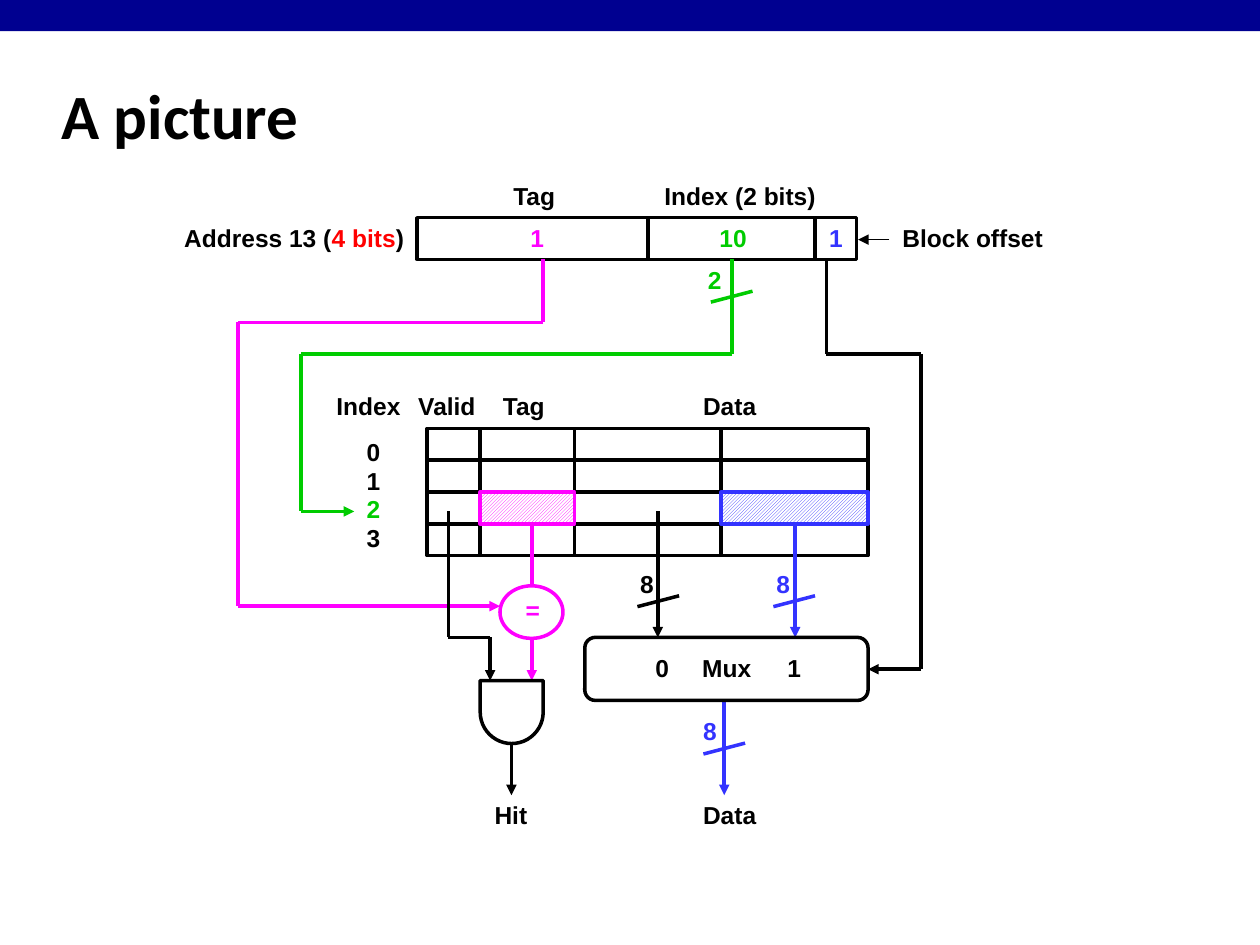
from itertools import accumulate, pairwise
from lxml.etree import SubElement
from pptx import Presentation
from pptx.dml.color import RGBColor
from pptx.enum.dml import MSO_PATTERN
from pptx.enum.shapes import MSO_CONNECTOR, MSO_SHAPE
from pptx.enum.text import MSO_ANCHOR, PP_ALIGN
from pptx.oxml.ns import qn
from pptx.util import Cm, Pt

BLACK = RGBColor(0, 0, 0)
WHITE = RGBColor(255, 255, 255)
NAVY = RGBColor(0, 0, 0x90)
PINK = RGBColor(255, 0, 255)
GREEN = RGBColor(0, 0xCC, 0)
BLUE = RGBColor(0x33, 0x33, 255)
RED = RGBColor(255, 0, 0)

# All lengths are in centimetres.
FIELDS = [4.65, 3.37, 0.84]        # tag, index, offset widths
FIELD_X, FIELD_Y, FIELD_H = 8.41, 4.39, 0.84
COLS = [1.07, 1.9, 2.96, 2.96]     # valid, tag, two data bytes
CACHE_X, CACHE_Y, ROW_H, ROWS = 8.61, 8.64, 0.64, 4
HITS = {(2, 1): PINK, (2, 3): BLUE}

# text, centre x, centre y, width, colour
LABELS = [
    ("Tag", 10.77, 3.98, 1.42, BLACK),
    ("Index (2 bits)", 14.92, 3.98, 3.63, BLACK),
    ([[("Address 13 (", BLACK), ("4 bits", RED), (")", BLACK)]],
     5.93, 4.83, 5.0, BLACK),
    ("1", 10.83, 4.83, 0.84, PINK),
    ("10", 14.78, 4.83, 1.12, GREEN),
    ("1", 16.85, 4.83, 0.84, BLUE),
    ("Block offset", 19.61, 4.83, 3.4, BLACK),
    ("2", 14.41, 5.68, 0.84, GREEN),
    ("Index", 7.43, 8.22, 1.86, BLACK),
    ("Valid", 9.01, 8.22, 1.73, BLACK),
    ("Tag", 10.56, 8.22, 1.42, BLACK),
    ("Data", 14.71, 8.22, 1.65, BLACK),
    ("=", 10.74, 12.32, 0.86, PINK),
    ("8", 13.04, 11.81, 0.84, BLACK),
    ("8", 15.79, 11.81, 0.84, BLUE),
    ("0", 13.35, 13.49, 0.84, BLACK),
    ("Mux", 14.65, 13.49, 1.57, BLACK),
    ("1", 16.01, 13.49, 0.84, BLACK),
    ("8", 14.31, 14.76, 0.84, BLUE),
    ("Hit", 10.3, 16.46, 1.24, BLACK),
    ("Data", 14.71, 16.46, 1.65, BLACK),
]
INDEXES = [[("0", BLACK)], [("1", BLACK)], [("2", GREEN)], [("3", BLACK)]]

# colour, corner points, arrow at the end
WIRES = [
    (PINK, [(10.95, 5.23), (10.95, 6.5), (4.8, 6.5), (4.8, 12.22),
            (10.08, 12.22)], True),
    (GREEN, [(14.76, 5.23), (14.76, 7.14), (6.07, 7.14), (6.07, 10.31),
             (7.14, 10.31)], True),
    (BLACK, [(16.66, 5.23), (16.66, 7.14), (18.57, 7.14), (18.57, 13.49),
             (17.5, 13.49)], True),
    (BLACK, [(9.04, 10.31), (9.04, 12.85), (9.88, 12.85), (9.88, 13.72)], True),
    (PINK, [(10.72, 10.31), (10.72, 11.81)], False),
    (PINK, [(10.72, 12.85), (10.72, 13.72)], True),
    (BLACK, [(13.26, 10.31), (13.26, 12.85)], True),
    (BLUE, [(16.03, 10.31), (16.03, 12.85)], True),
    (BLACK, [(10.31, 14.99), (10.31, 16.03)], True),
    (BLUE, [(14.6, 14.12), (14.6, 16.03)], True),
]
SLASHES = [(14.75, 5.98, GREEN), (13.27, 12.12, BLACK),
           (16.01, 12.12, BLUE), (14.6, 15.09, BLUE)]

deck = Presentation()
deck.slide_width, deck.slide_height = Cm(25.4), Cm(19.05)
slide = deck.slides.add_slide(deck.slide_layouts[6])


def draw(kind, x, y, w, h, line=BLACK, fill=None, hatch=False):
    shape = slide.shapes.add_shape(kind, Cm(x), Cm(y), Cm(w), Cm(h))
    shape.shadow.inherit = False
    if hatch:
        shape.fill.patterned()
        shape.fill.pattern = MSO_PATTERN.LIGHT_UPWARD_DIAGONAL
        shape.fill.fore_color.rgb = line
        shape.fill.back_color.rgb = WHITE
    elif fill is not None:
        shape.fill.solid()
        shape.fill.fore_color.rgb = fill
    else:
        shape.fill.background()
    if line is None:
        shape.line.fill.background()
    else:
        shape.line.color.rgb = line
        shape.line.width = Pt(2)
    return shape


def wire(color, points, arrow=False, width=2):
    """Join the points with straight lines, the last one with an arrow if asked."""
    for start, end in pairwise(points):
        link = slide.shapes.add_connector(
            MSO_CONNECTOR.STRAIGHT, *map(Cm, start + end))
        link.line.color.rgb = color
        link.line.width = Pt(width)
        SubElement(link._element.spPr, qn("a:effectLst"))
        if arrow and end == points[-1]:
            SubElement(link.line._get_or_add_ln(), qn("a:tailEnd"), type="triangle")


def write(text, x, y, w, h=0.81, color=BLACK, size=14, font="Arial",
          align=PP_ALIGN.CENTER, wrap=False, inset=0.2, space=0.9):
    """Centre a box on x, y; text is a string or rows of (words, colour) runs."""
    box = slide.shapes.add_textbox(Cm(x - w / 2), Cm(y - h / 2), Cm(w), Cm(h))
    frame = box.text_frame
    frame.word_wrap = wrap
    frame.vertical_anchor = MSO_ANCHOR.MIDDLE
    frame.margin_left = frame.margin_right = Cm(inset)
    frame.margin_top = frame.margin_bottom = Cm(0.15)
    rows = [[(text, color)]] if isinstance(text, str) else text
    for i, row in enumerate(rows):
        para = frame.add_paragraph() if i else frame.paragraphs[0]
        para.alignment = align
        para.line_spacing = space
        if i:
            para.space_before = Pt(1.2)
        for words, tint in row:
            run = para.add_run()
            run.text = words
            run.font.name, run.font.size, run.font.bold = font, Pt(size), True
            run.font.color.rgb = tint


draw(MSO_SHAPE.RECTANGLE, 0, 0, 25.4, 0.63, line=None, fill=NAVY)
write("A picture", 11.53, 2.3, 21.08, 2.11, size=36, font="Calibri",
      align=PP_ALIGN.LEFT, wrap=True, inset=0.25, space=1.0)

for x, w in zip(accumulate(FIELDS, initial=FIELD_X), FIELDS):
    draw(MSO_SHAPE.RECTANGLE, x, FIELD_Y, w, FIELD_H)

cells = {(r, c): (x, CACHE_Y + r * ROW_H, w, ROW_H)
         for r in range(ROWS)
         for c, (x, w) in enumerate(zip(accumulate(COLS, initial=CACHE_X), COLS))}
for key, place in cells.items():
    if key not in HITS:
        draw(MSO_SHAPE.RECTANGLE, *place)

for color, points, arrow in WIRES:
    wire(color, points, arrow)
wire(BLACK, [(17.93, 4.83), (17.3, 4.83)], arrow=True, width=1)
for x, y, color in SLASHES:
    wire(color, [(x - 0.42, y + 0.11), (x + 0.42, y - 0.11)])

for key, color in HITS.items():
    draw(MSO_SHAPE.RECTANGLE, *cells[key], line=color, hatch=True)

draw(MSO_SHAPE.OVAL, 10.08, 11.81, 1.27, 1.06, line=PINK)
draw(MSO_SHAPE.FLOWCHART_DELAY, 9.68, 13.72, 1.27, 1.27).rotation = 90
draw(MSO_SHAPE.ROUNDED_RECTANGLE, 11.79, 12.85, 5.71, 1.27)

for text, x, y, w, color in LABELS:
    write(text, x, y, w, color=color)
write(INDEXES, 7.53, 10.01, 0.84, 2.59)

deck.save("out.pptx")
